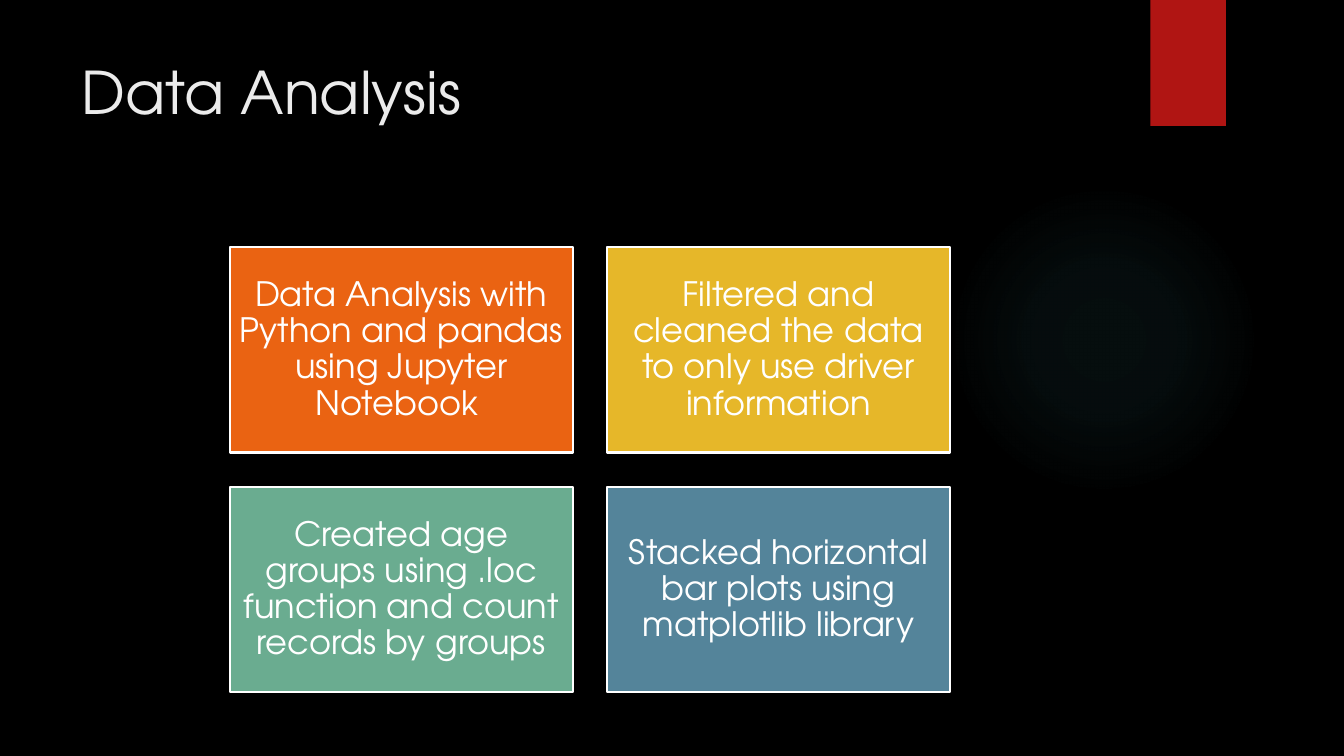
from dataclasses import dataclass

from lxml import etree
from pptx import Presentation
from pptx.dml.color import RGBColor
from pptx.enum.shapes import MSO_SHAPE
from pptx.enum.text import MSO_ANCHOR, MSO_AUTO_SIZE, PP_ALIGN
from pptx.oxml import parse_xml
from pptx.util import Inches, Pt

RECTANGLE, OVAL = MSO_SHAPE.RECTANGLE, MSO_SHAPE.OVAL
TOP, MIDDLE = MSO_ANCHOR.TOP, MSO_ANCHOR.MIDDLE
LEFT, CENTER = PP_ALIGN.LEFT, PP_ALIGN.CENTER
NO_AUTOFIT = MSO_AUTO_SIZE.NONE
DRAWING_NS = "http://schemas.openxmlformats.org/drawingml/2006/main"

# Content
TITLE = "Data Analysis"
CARDS = [
    ("Data Analysis with Python and pandas using Jupyter Notebook ", "EA6312"),
    ("Filtered and cleaned the data to only use driver information", "E6B729"),
    ("Created age groups using .loc function and count records by groups", "6AAC90"),
    ("Stacked horizontal bar plots using matplotlib library", "54849A"),
]

# Card grid, in inches
COLUMNS = 2
GRID_LEFT, GRID_TOP = 2.28, 2.45
CARD_WIDTH, CARD_HEIGHT, GAP = 3.4, 2.04, 0.34


@dataclass(frozen=True)
class Theme:
    font: str = "TeX Gyre Adventor"
    background: str = "000000"
    title: str = "EBEBEB"
    text: str = "FFFFFF"
    ribbon: str = "B01513"
    glow: str = "50B9C1"
    glow_stops: tuple = ((0, 7), (36, 6), (69, 0))  # position %, opacity %
    title_size: int = 42
    card_size: int = 24
    outline: float = 1.5


THEME = Theme()


def color(value):
    return RGBColor.from_string(value)


def add_box(slide, kind, left, top, width, height, fill=None):
    shape = slide.shapes.add_shape(
        kind, Inches(left), Inches(top), Inches(width), Inches(height))
    shape.shadow.inherit = False
    shape.line.fill.background()
    if fill:
        shape.fill.solid()
        shape.fill.fore_color.rgb = color(fill)
    else:
        shape.fill.background()
    return shape


def write_text(frame, text, size, text_color, alignment, anchor):
    frame.word_wrap = True
    frame.auto_size = NO_AUTOFIT
    frame.vertical_anchor = anchor
    paragraph = frame.paragraphs[0]
    paragraph.alignment = alignment
    run = paragraph.add_run()
    run.text = text
    run.font.name = THEME.font
    run.font.size = Pt(size)
    run.font.color.rgb = color(text_color)
    return paragraph


def add_glow(slide):
    shape = add_box(slide, OVAL, 9.41, 1.83, 3.08, 3.08)
    stops = "".join(
        f'<a:gs pos="{position * 1000}"><a:srgbClr val="{THEME.glow}">'
        f'<a:alpha val="{opacity * 1000}"/></a:srgbClr></a:gs>'
        for position, opacity in THEME.glow_stops)
    gradient = parse_xml(
        f'<a:gradFill xmlns:a="{DRAWING_NS}"><a:gsLst>{stops}</a:gsLst>'
        '<a:path path="circle"><a:fillToRect l="50000" t="50000" r="50000" b="50000"/>'
        '</a:path></a:gradFill>')
    properties = shape.element.spPr
    empty_fill = properties.find(etree.QName(DRAWING_NS, "noFill").text)
    properties.replace(empty_fill, gradient)


def add_title(slide):
    title = slide.shapes.title
    title.left, title.top = Inches(0.71), Inches(0.5)
    title.width, title.height = Inches(10.29), Inches(1.53)
    write_text(title.text_frame, TITLE, THEME.title_size, THEME.title, LEFT, TOP)


def add_card(slide, index, text, fill):
    row, column = divmod(index, COLUMNS)
    card = add_box(
        slide, RECTANGLE,
        GRID_LEFT + column * (CARD_WIDTH + GAP),
        GRID_TOP + row * (CARD_HEIGHT + GAP),
        CARD_WIDTH, CARD_HEIGHT, fill)
    card.line.color.rgb = color(THEME.text)
    card.line.width = Pt(THEME.outline)
    frame = card.text_frame
    frame.margin_left = frame.margin_right = Inches(0.1)
    frame.margin_top = frame.margin_bottom = Inches(0.1)
    paragraph = write_text(frame, text, THEME.card_size, THEME.text, CENTER, MIDDLE)
    paragraph.line_spacing = 0.9


def main():
    presentation = Presentation()
    presentation.slide_width = Inches(13.33)
    presentation.slide_height = Inches(7.5)
    slide = presentation.slides.add_slide(presentation.slide_layouts[5])

    # Backdrop
    slide.background.fill.solid()
    slide.background.fill.fore_color.rgb = color(THEME.background)
    add_glow(slide)
    add_box(slide, RECTANGLE, 11.41, 0, 0.75, 1.25, THEME.ribbon)

    # Title and cards
    add_title(slide)
    for index, (text, fill) in enumerate(CARDS):
        add_card(slide, index, text, fill)

    presentation.save("out.pptx")


if __name__ == "__main__":
    main()
